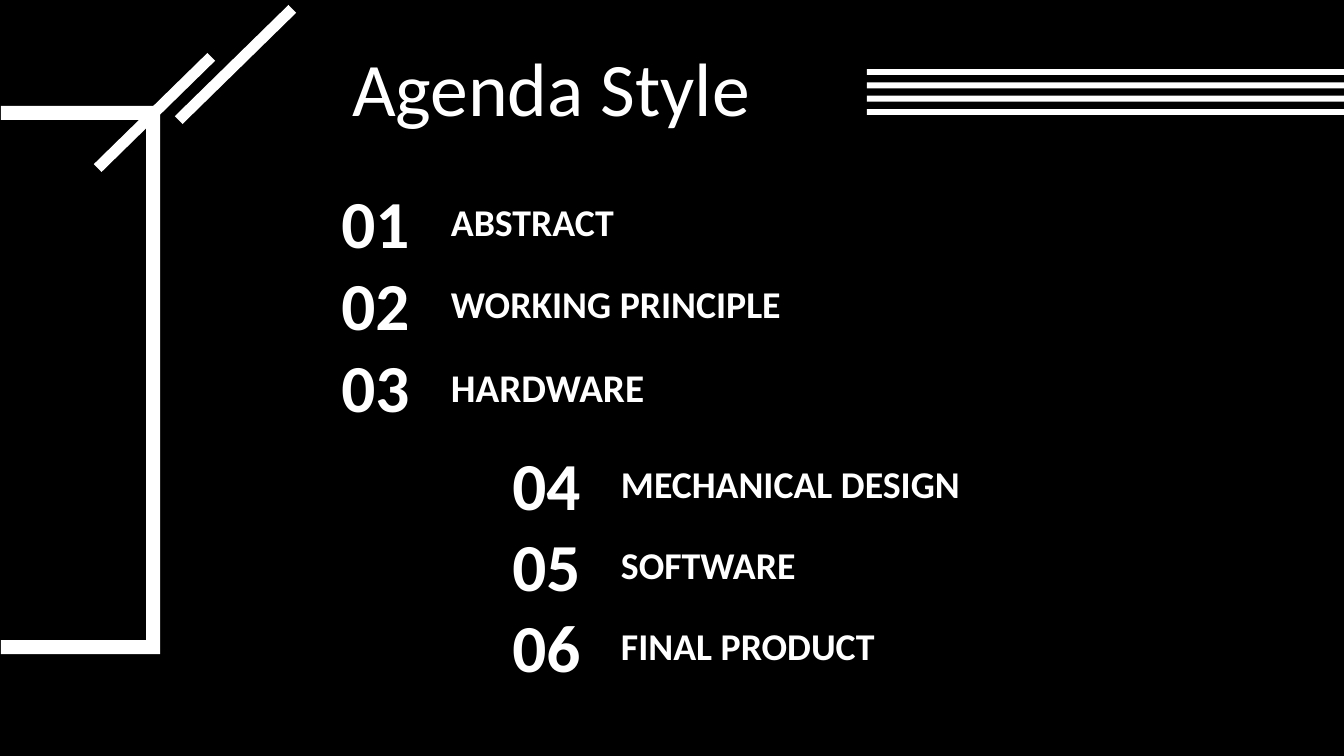
"""Build the agenda slide: a title, two numbered lists and white line art."""
from dataclasses import dataclass

from pptx import Presentation
from pptx.dml.color import RGBColor
from pptx.enum import shapes, text
from pptx import util as u

TITLE = "Agenda Style"
AGENDA = [
    {"left": 316, "top": 176, "pitch": 82, "number_width": 119, "label_width": 559,
     "items": [("01", "ABSTRACT", 27), ("02", "WORKING PRINCIPLE", 27), ("03", "HARDWARE", 28)]},
    {"left": 488, "top": 438, "pitch": 81, "number_width": 117, "label_width": 548,
     "items": [("04", "MECHANICAL DESIGN", 27), ("05", "SOFTWARE", 27), ("06", "FINAL PRODUCT", 27)]},
]
BRACKET = [(160, 106), (160, 654), (1, 654), (1, 640), (146, 640), (146, 120), (1, 120), (1, 106)]
SLANTED_BARS = [(149, 33, 11, 159), (230, -15, 11, 159)]
SLANT = 45.6
STRIPE_COUNT, STRIPE_TOP, STRIPE_SPAN = 4, 69, 40
NUMBER_HEIGHT, LABEL_HEIGHT, LABEL_GAP, LABEL_DROP = 92, 56, 4, 18
EMU_PER_PX = 914400 / 100.8


@dataclass(frozen=True)
class Theme:
    """Colours, font and type sizes."""
    back: RGBColor = RGBColor(0, 0, 0)
    ink: RGBColor = RGBColor(255, 255, 255)
    font: str = "Calibri"
    title: int = 54
    number: int = 48


THEME = Theme()


def px(length):
    """Turn pixels into EMU."""
    return u.Emu(round(length * EMU_PER_PX))


def write(box, words, size, bold=False, align=text.PP_ALIGN.LEFT,
          anchor=text.MSO_ANCHOR.TOP, side=12):
    """Fill a box with one formatted line."""
    frame = box.text_frame
    frame.word_wrap = True
    frame.auto_size = text.MSO_AUTO_SIZE.NONE
    frame.vertical_anchor = anchor
    frame.margin_left = frame.margin_right = px(side)
    frame.margin_top = frame.margin_bottom = px(5)
    para = frame.paragraphs[0]
    para.alignment = align
    para.line_spacing = 1.0
    span = para.add_run()
    span.text = words
    font = span.font
    font.name, font.size, font.bold = THEME.font, u.Pt(size), bold
    font.color.rgb = THEME.ink


def paint(shape):
    """Give a shape a plain white fill."""
    shape.shadow.inherit = False
    shape.fill.solid()
    shape.fill.fore_color.rgb = THEME.ink
    shape.line.fill.background()


def add_bar(page, left, top, width, height, rotation=0):
    """Add a white bar."""
    bar = page.shapes.add_shape(shapes.MSO_SHAPE.RECTANGLE, *map(px, (left, top, width, height)))
    bar.rotation = rotation
    paint(bar)


def add_agenda(page, group):
    """Add one numbered list."""
    label_left = group["left"] + group["number_width"] + LABEL_GAP
    for row, (number, label, size) in enumerate(group["items"]):
        top = group["top"] + row * group["pitch"]
        label_box = page.shapes.add_textbox(
            *map(px, (label_left, top + LABEL_DROP, group["label_width"], LABEL_HEIGHT)))
        write(label_box, label, size, bold=True)
        number_box = page.shapes.add_textbox(
            *map(px, (group["left"], top, group["number_width"], NUMBER_HEIGHT)))
        write(number_box, number, THEME.number, bold=True, align=text.PP_ALIGN.CENTER)


def main():
    """Assemble and save the deck."""
    deck = Presentation()
    deck.slide_width, deck.slide_height = px(1344), px(756)
    page = deck.slides.add_slide(deck.slide_layouts[5])
    page.background.fill.solid()
    page.background.fill.fore_color.rgb = THEME.back

    title = page.shapes.title
    title.left, title.top, title.width, title.height = map(px, (342, 35, 682, 102))
    write(title, TITLE, THEME.title, anchor=text.MSO_ANCHOR.MIDDLE, side=10)

    for index in range(STRIPE_COUNT):
        add_bar(page, 867, STRIPE_TOP + index * STRIPE_SPAN / (STRIPE_COUNT - 1), 477, 6)
    outline = page.shapes.build_freeform(*BRACKET[0], scale=EMU_PER_PX)
    outline.add_line_segments(BRACKET[1:], close=True)
    paint(outline.convert_to_shape())
    for bar in SLANTED_BARS:
        add_bar(page, *bar, rotation=SLANT)
    for group in AGENDA:
        add_agenda(page, group)
    deck.save("out.pptx")


if __name__ == "__main__":
    main()
